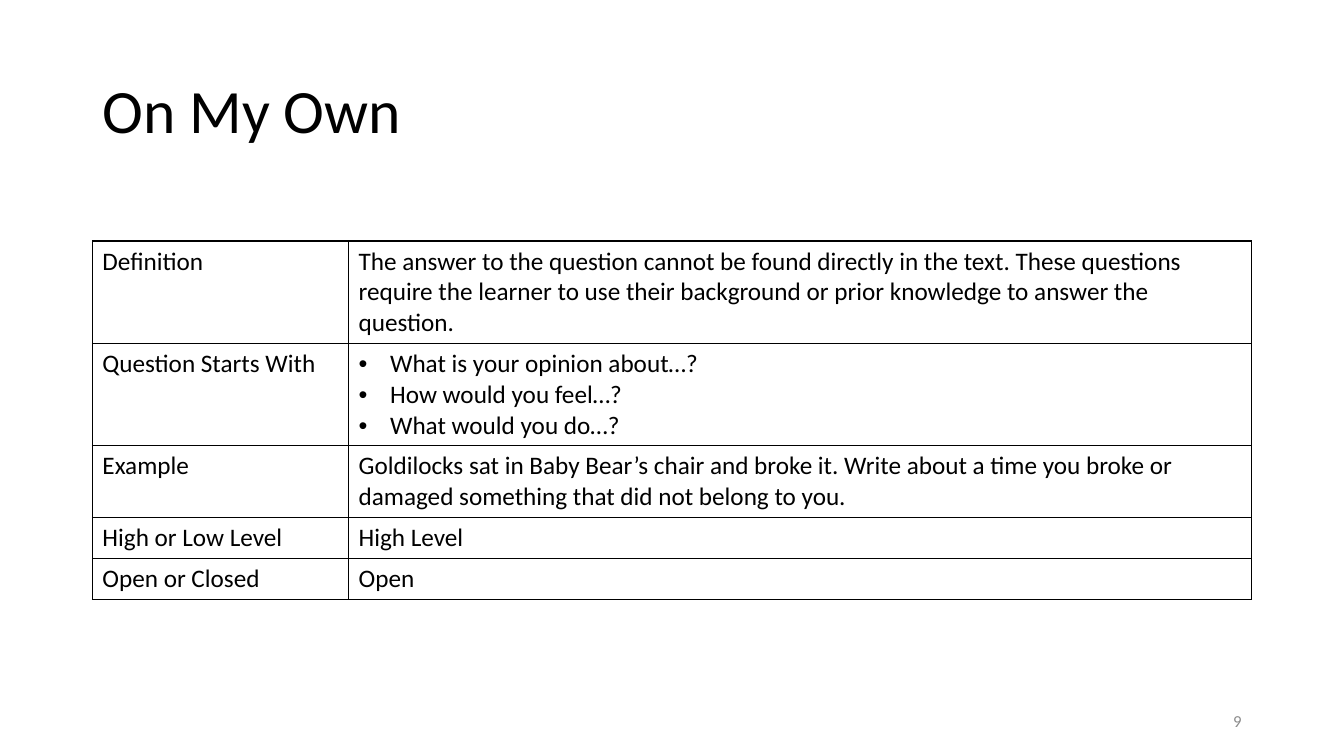
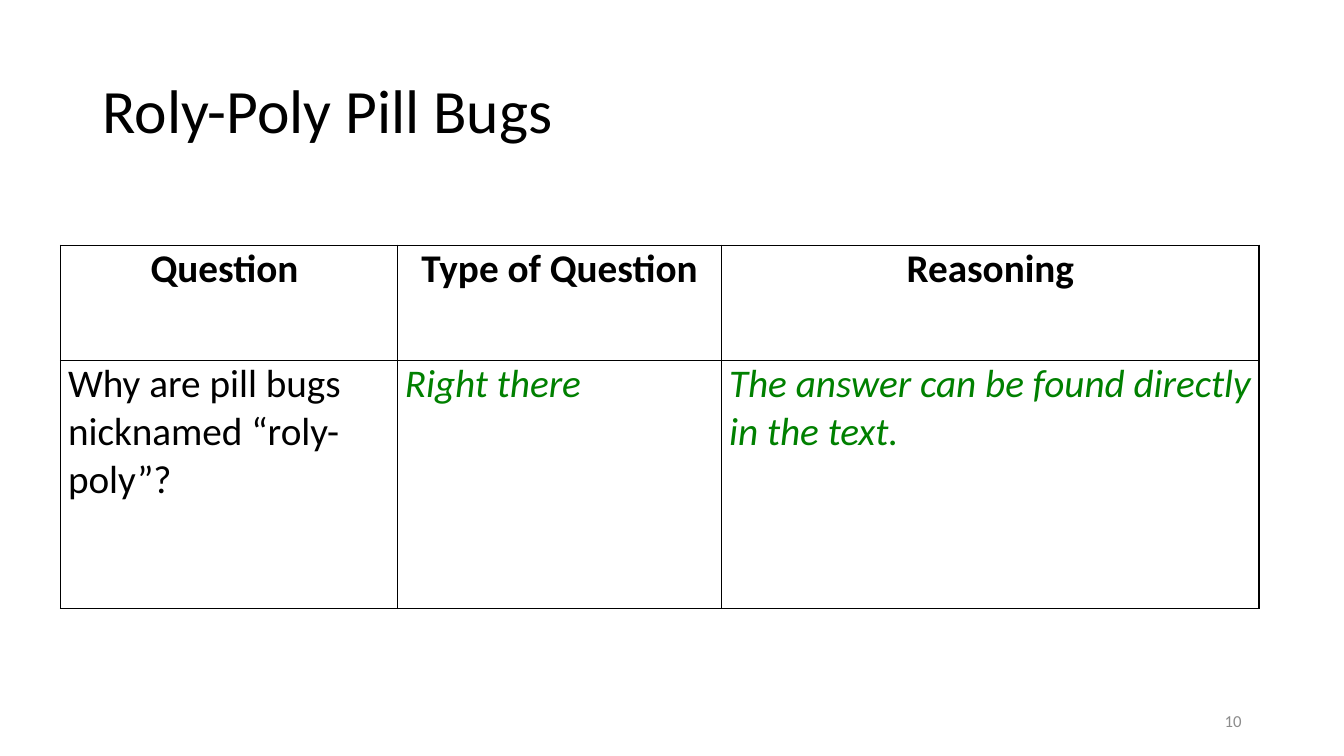
from dataclasses import dataclass

from lxml.etree import SubElement
from pptx import Presentation
from pptx.dml.color import RGBColor
from pptx.enum.text import MSO_ANCHOR, PP_ALIGN
from pptx.oxml.ns import qn
from pptx.util import Emu, Inches, Pt

UNIT = Inches(1 / 12)
COLS, ROWS = 160, 90
FONT = "Calibri"
BLACK, GREEN, GRAY = "000000", "008000", "8C8C8C"
LINE_ROWS, PAD_ROWS = 3.66, 1.2
BULLET_INDENT = 3.75


@dataclass(frozen=True)
class Area:
    col: float
    row: float
    cols: float
    rows: float


@dataclass(frozen=True)
class Entry:
    lines: tuple[str, ...]
    color: str = BLACK
    bold: bool = False
    italic: bool = False
    align: PP_ALIGN = PP_ALIGN.LEFT
    bulleted: bool = False


@dataclass(frozen=True)
class Grid:
    col: float
    row: float
    col_widths: tuple[float, ...]
    row_heights: tuple[float, ...]
    entries: tuple[tuple[Entry, ...], ...]
    size: float
    margins: tuple[float, float]
    space_after: float = 0


@dataclass(frozen=True)
class Page:
    title: str
    number: int
    grid: Grid


TITLE = Area(11, 4.8, 138, 17.4)
NUMBER = Area(113, 83.4, 36, 4.8)


def units(n: float) -> Emu:
    return Emu(round(n * UNIT))


def place(area: Area) -> tuple[Emu, ...]:
    return tuple(units(n) for n in (area.col, area.row, area.cols, area.rows))


def rgb(color: str) -> RGBColor:
    return RGBColor.from_string(color)


def style(p, size: float, color: str, bold: bool = False, italic: bool = False) -> None:
    for r in p.runs:
        r.font.name, r.font.size = FONT, Pt(size)
        r.font.bold, r.font.italic = bold, italic
        r.font.color.rgb = rgb(color)


def add_title(s, text: str) -> None:
    sp = s.shapes.title
    sp.left, sp.top, sp.width, sp.height = place(TITLE)
    tf = sp.text_frame
    tf.text = text
    tf.vertical_anchor = MSO_ANCHOR.MIDDLE
    p = tf.paragraphs[0]
    p.alignment, p.line_spacing = PP_ALIGN.LEFT, 0.9
    style(p, 44, BLACK)


def add_number(s, number: int) -> None:
    tf = s.shapes.add_textbox(*place(NUMBER)).text_frame
    tf.word_wrap = True
    tf.vertical_anchor = MSO_ANCHOR.MIDDLE
    tf.text = str(number)
    p = tf.paragraphs[0]
    p.alignment = PP_ALIGN.RIGHT
    style(p, 12, GRAY)


def add_bullet(p) -> None:
    pPr = p._p.get_or_add_pPr()
    pPr.set("marL", str(units(BULLET_INDENT)))
    pPr.set("indent", str(-units(BULLET_INDENT)))
    SubElement(pPr, qn("a:buFont"), typeface="Arial")
    SubElement(pPr, qn("a:buChar"), char="•")


def add_borders(cell) -> None:
    tcPr = cell._tc.get_or_add_tcPr()
    for side in ("lnL", "lnR", "lnT", "lnB"):
        ln = SubElement(tcPr, qn(f"a:{side}"), w=str(Pt(1)))
        fill = SubElement(ln, qn("a:solidFill"))
        SubElement(fill, qn("a:srgbClr"), val=BLACK)


def fill_cell(cell, entry: Entry, grid: Grid) -> None:
    add_borders(cell)
    cell.fill.background()
    side, end = (units(n) for n in grid.margins)
    cell.margin_left = cell.margin_right = side
    cell.margin_top = cell.margin_bottom = end
    tf = cell.text_frame
    tf.text = "\n".join(entry.lines)
    for p in tf.paragraphs:
        if entry.bulleted:
            add_bullet(p)
        p.alignment = entry.align
        p.space_after = Pt(grid.space_after)
        style(p, grid.size, entry.color, entry.bold, entry.italic)


def add_grid(s, grid: Grid) -> None:
    area = Area(grid.col, grid.row, sum(grid.col_widths), sum(grid.row_heights))
    shape = (len(grid.row_heights), len(grid.col_widths))
    table = s.shapes.add_table(*shape, *place(area)).table
    table.first_row = table.horz_banding = False
    for column, width in zip(table.columns, grid.col_widths):
        column.width = units(width)
    for row, height, entries in zip(table.rows, grid.row_heights, grid.entries):
        row.height = units(height)
        for cell, entry in zip(row.cells, entries):
            fill_cell(cell, entry, grid)


def plain(text: str) -> Entry:
    return Entry((text,))


def header(text: str) -> Entry:
    return Entry((text,), bold=True, align=PP_ALIGN.CENTER)


def answer(text: str) -> Entry:
    return Entry((text,), color=GREEN, italic=True)


STRATEGY = Grid(
    col=11,
    row=28.7,
    col_widths=(30.5, 107.5),
    row_heights=tuple(PAD_ROWS + LINE_ROWS * n for n in (3, 3, 2, 1, 1)),
    entries=(
        (plain("Definition"),
         plain("The answer to the question cannot be found directly in the text. "
               "These questions require the learner to use their background or "
               "prior knowledge to answer the question.")),
        (plain("Question Starts With"),
         Entry(("What is your opinion about…?", "How would you feel…?",
                "What would you do…?"), bulleted=True)),
        (plain("Example"),
         plain("Goldilocks sat in Baby Bear’s chair and broke it. Write about a "
               "time you broke or damaged something that did not belong to you.")),
        (plain("High or Low Level"), plain("High Level")),
        (plain("Open or Closed"), plain("Open")),
    ),
    size=18,
    margins=(1.2, 0.6),
)

PRACTICE = Grid(
    col=7.2,
    row=29.2,
    col_widths=(40.1, 38.6, 64),
    row_heights=(13.7, 29.5),
    entries=(
        (header("Question "), header("Type of Question"), header("Reasoning")),
        (plain("Why are pill bugs nicknamed “roly-poly”?"),
         answer("Right there"),
         answer("The answer can be found directly in the text.")),
    ),
    size=28,
    margins=(0.9, 0),
    space_after=6,
)

PAGES = (
    Page("On My Own", 9, STRATEGY),
    Page("Roly-Poly Pill Bugs", 10, PRACTICE),
)


def main() -> None:
    prs = Presentation()
    prs.slide_width, prs.slide_height = units(COLS), units(ROWS)
    for page in PAGES:
        s = prs.slides.add_slide(prs.slide_layouts[5])
        add_title(s, page.title)
        add_grid(s, page.grid)
        add_number(s, page.number)
    prs.save("out.pptx")


if __name__ == "__main__":
    main()
